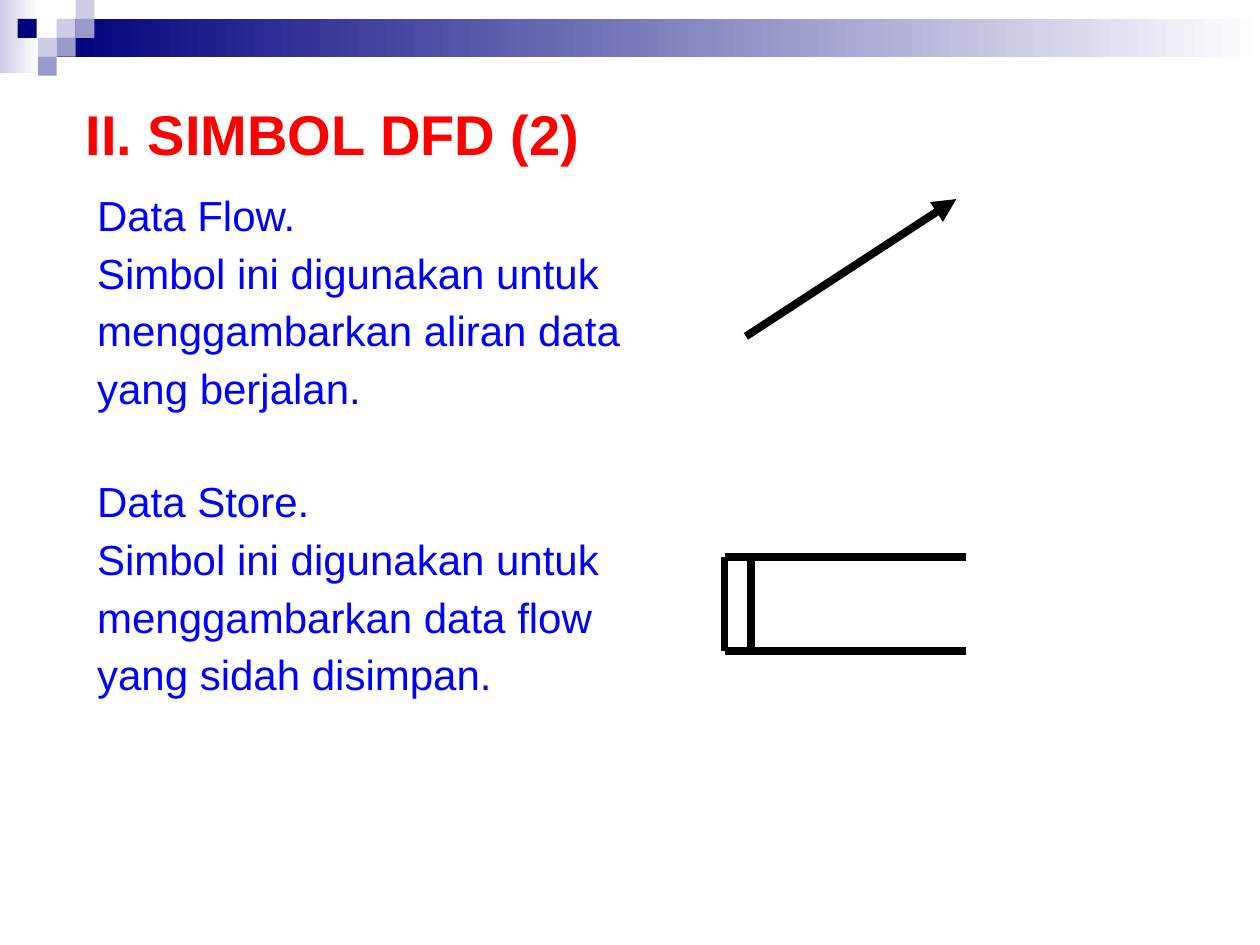
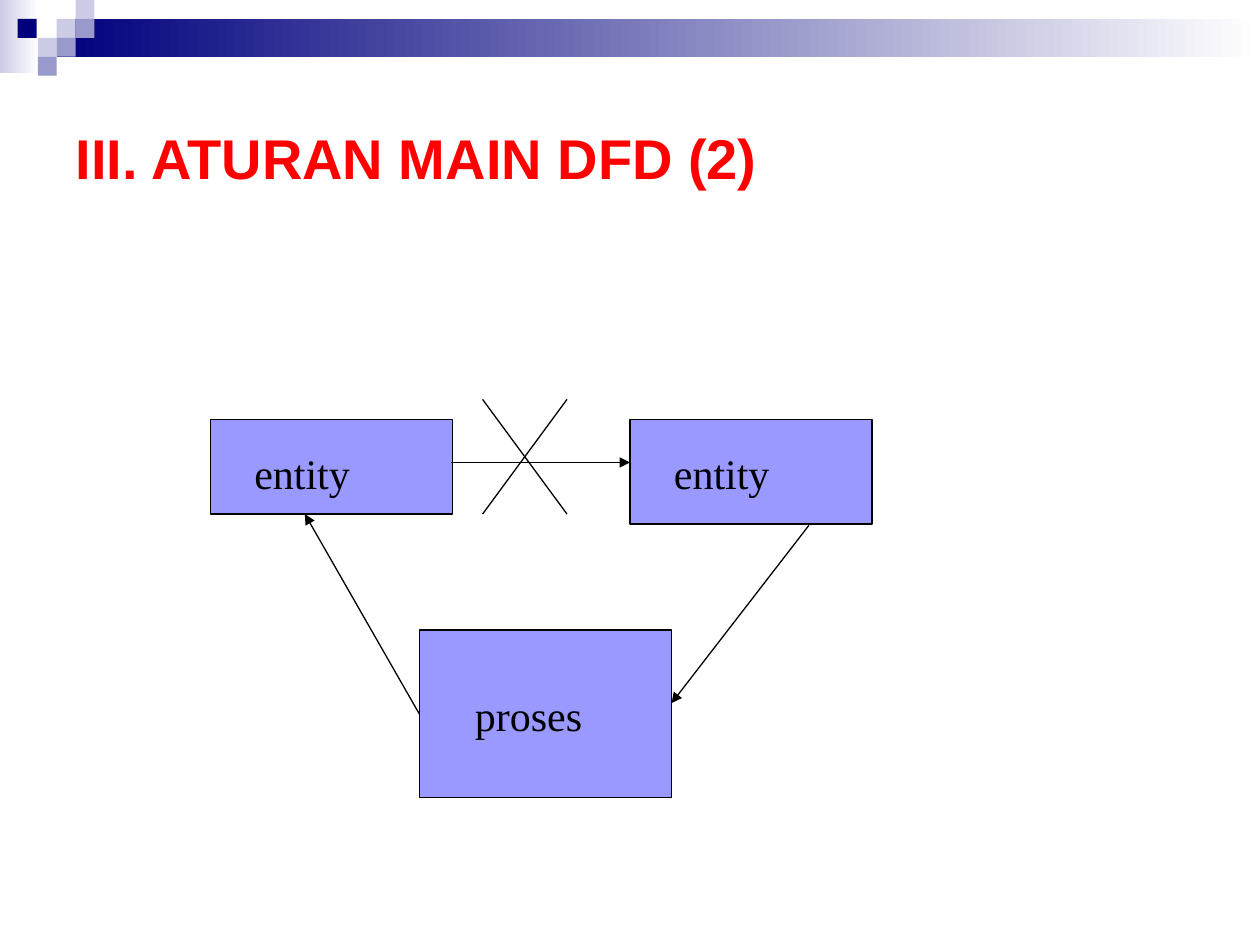
from dataclasses import dataclass

from lxml import etree
from pptx import Presentation
from pptx import util as u
from pptx.dml.color import RGBColor
from pptx.enum import shapes, text
from pptx.oxml import ns


@dataclass(frozen=True)
class Theme:
    navy: str = "00007D"
    lavender: str = "CCCCE6"
    violet: str = "9999CC"
    node: str = "9999FF"
    white: str = "FFFFFF"
    ink: str = "000000"
    red: str = "FF0000"
    blue: str = "0000FF"
    sans: str = "Arial"
    serif: str = "Times New Roman"
    title_size: int = 32
    text_size: int = 24
    thick: float = 4.5
    thin: float = 0.75


THEME = Theme()
TITLE_FONT = {"name": THEME.sans, "size": u.Pt(THEME.title_size), "bold": True}
BODY_FONT = {"name": THEME.sans, "size": u.Pt(THEME.text_size)}
LABEL_FONT = {"name": THEME.serif, "size": u.Pt(THEME.text_size)}
BODY_LEADING = {"alignment": text.PP_ALIGN.JUSTIFY, "line_spacing": 0.9}
LINE_GAP, SECTION_GAP = u.Pt(7), u.Pt(39)


def apply(target, values):
    for name, value in values.items():
        setattr(target, name, value)


def place(shape, box):
    apply(shape, dict(zip(("left", "top", "width", "height"), map(u.Inches, box))))


def style_font(paragraph, values, color):
    apply(paragraph.font, values)
    paragraph.font.color.rgb = RGBColor.from_string(color)


def add_rectangle(slide, box, colors, outlined=False):
    shape = slide.shapes.add_shape(shapes.MSO_SHAPE.RECTANGLE, *map(u.Inches, box))
    shape.shadow.inherit = False
    if len(colors) == 1:
        shape.fill.solid()
        shape.fill.fore_color.rgb = RGBColor.from_string(colors[0])
    else:
        shape.fill.gradient()
        shape.fill.gradient_angle = 0
        for stop, color in zip(shape.fill.gradient_stops, colors):
            stop.color.rgb = RGBColor.from_string(color)
    if outlined:
        shape.line.color.rgb = RGBColor.from_string(THEME.ink)
        shape.line.width = u.Pt(THEME.thin)
    else:
        shape.line.fill.background()
    return shape


def add_line(slide, start, end, width, arrow=False):
    connector = slide.shapes.add_connector(
        shapes.MSO_CONNECTOR.STRAIGHT, *map(u.Inches, start + end))
    connector.line.color.rgb = RGBColor.from_string(THEME.ink)
    connector.line.width = u.Pt(width)
    if arrow:
        etree.SubElement(connector.line._get_or_add_ln(), ns.qn("a:tailEnd"), type="triangle")
    etree.SubElement(connector.element.spPr, ns.qn("a:effectLst"))


def add_master_band(presentation, slide):
    step = 0.15
    squares = [
        (0.45, 1, THEME.lavender), (0.6, 0, THEME.lavender), (0.6, 1, THEME.violet),
        (0.3, 2, THEME.lavender), (0.14, 1, THEME.navy), (0.45, 2, THEME.violet),
        (0.3, 3, THEME.violet),
    ]
    parts = [
        ((0, 0, 0.31, 0.58), (THEME.lavender, THEME.white)),
        ((step * 3, step, 9.55, step * 2), (THEME.navy, THEME.white)),
    ]
    parts += [((left, row * step, step, step), (color,)) for left, row, color in squares]
    tree = presentation.slide_master.shapes.element
    for index, (box, colors) in enumerate(parts):
        shape = add_rectangle(slide, box, colors)
        shape.element.nvSpPr.cNvPr.set("id", str(100 + index))
        tree.insert(2 + index, shape.element)


def set_title(slide, wording, box):
    title = slide.shapes.title
    place(title, box)
    frame = title.text_frame
    frame.text = wording
    apply(frame, {"vertical_anchor": text.MSO_ANCHOR.MIDDLE,
                  "auto_size": text.MSO_AUTO_SIZE.NONE})
    paragraph = frame.paragraphs[0]
    paragraph.alignment = text.PP_ALIGN.LEFT
    style_font(paragraph, TITLE_FONT, THEME.red)


def set_body(slide, sections, box):
    body = slide.placeholders[1]
    place(body, box)
    frame = body.text_frame
    frame.auto_size = text.MSO_AUTO_SIZE.NONE
    frame.text = "\n".join(line for section in sections for line in section)
    headings = {section[0] for section in sections}
    for index, paragraph in enumerate(frame.paragraphs):
        properties = paragraph._p.get_or_add_pPr()
        apply_indent = {"marL": "0", "indent": "0"}
        for name, value in apply_indent.items():
            properties.set(name, value)
        etree.SubElement(properties, ns.qn("a:buNone"))
        apply(paragraph, BODY_LEADING)
        gap = SECTION_GAP if paragraph.text in headings else LINE_GAP
        paragraph.space_before = gap if index else u.Pt(0)
        style_font(paragraph, BODY_FONT, THEME.blue)


def add_data_store(slide, box):
    left, top, width, height = box
    right, bottom = left + width, top + height
    for y in (top, bottom):
        add_line(slide, (left, y), (right, y), THEME.thick)
    for x in (left, left + 0.21):
        add_line(slide, (x, top), (x, bottom), THEME.thick)


def add_node(slide, wording, box, label_offset, label_width):
    add_rectangle(slide, box, (THEME.node,), outlined=True)
    left, top = box[0] + label_offset[0], box[1] + label_offset[1]
    label = slide.shapes.add_textbox(*map(u.Inches, (left, top, label_width, 0.5)))
    frame = label.text_frame
    frame.word_wrap = True
    frame.text = wording
    style_font(frame.paragraphs[0], LABEL_FONT, THEME.ink)


def add_cross(slide, box):
    left, top, width, height = box
    right, bottom = left + width, top + height
    add_line(slide, (left, top), (right, bottom), THEME.thin)
    add_line(slide, (right, top), (left, bottom), THEME.thin)


def build_symbols(slide):
    set_body(slide, [
        ("Data Flow.", "Simbol ini digunakan untuk",
         "menggambarkan aliran data", "yang berjalan."),
        ("Data Store.", "Simbol ini digunakan untuk",
         "menggambarkan data flow", "yang sidah disimpan."),
    ], (0.67, 1.5, 5.17, 5))
    add_line(slide, (5.92, 2.67), (7.59, 1.58), THEME.thick, arrow=True)
    add_data_store(slide, (5.75, 4.42, 1.92, 0.75))
    set_title(slide, "II. SIMBOL DFD (2)", (0.58, 0.67, 7.75, 0.78))


def build_rules(slide):
    set_title(slide, "III. ATURAN MAIN DFD (2)", (0.5, 0.5, 9, 1.5))
    add_node(slide, "entity", (1.67, 3.33, 1.92, 0.75), (0.25, 0.17), 1.42)
    add_node(slide, "entity", (5, 3.33, 1.92, 0.83), (0.25, 0.17), 1.42)
    add_node(slide, "proses", (3.33, 5, 2, 1.33), (0.34, 0.42), 1.25)
    for start, end in [
        ((3.58, 3.67), (5, 3.67)),
        ((6.42, 4.17), (5.33, 5.58)),
        ((3.33, 5.67), (2.42, 4.08)),
    ]:
        add_line(slide, start, end, THEME.thin, arrow=True)
    add_cross(slide, (3.83, 3.17, 0.67, 0.91))


def main():
    presentation = Presentation()
    apply(presentation, {"slide_width": u.Inches(10), "slide_height": u.Inches(7.5)})
    layouts = presentation.slide_layouts
    symbols = presentation.slides.add_slide(layouts.get_by_name("Title and Content"))
    rules = presentation.slides.add_slide(layouts.get_by_name("Title Only"))
    add_master_band(presentation, symbols)
    build_symbols(symbols)
    build_rules(rules)
    presentation.save("out.pptx")


if __name__ == "__main__":
    main()
